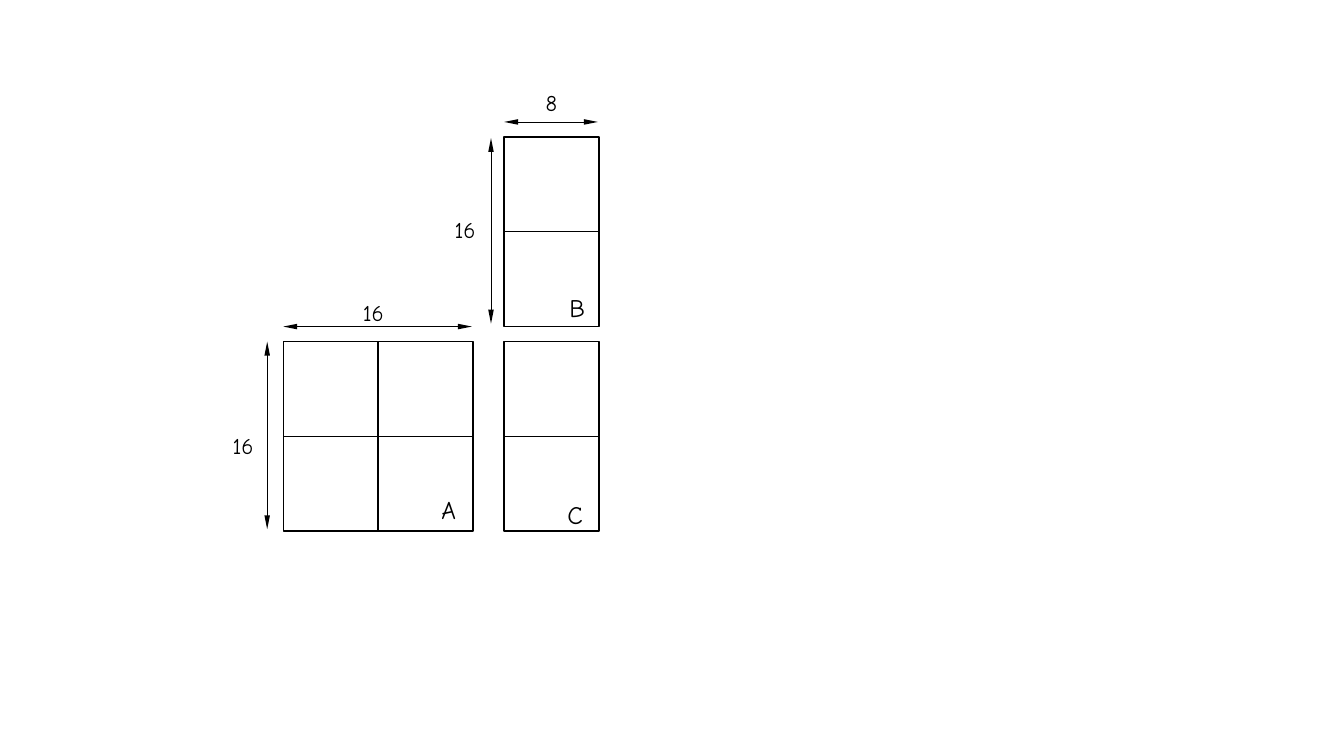
"""Build a slide of squares A, B and C with their dimensions."""
from lxml import etree
from pptx import Presentation
from pptx.dml.color import RGBColor
from pptx.enum import shapes, text
from pptx.oxml import ns
from pptx.util import Inches, Pt

BLACK = RGBColor(0, 0, 0)
FONT = "Comic Neue"
SIDE = 0.94


def add_text(container, content, left, top, width=0.6, height=0.37, size=16,
             align=text.PP_ALIGN.LEFT):
    box = container.add_textbox(Inches(left), Inches(top), Inches(width), Inches(height))
    frame = box.text_frame
    frame.word_wrap = True
    frame.auto_size = text.MSO_AUTO_SIZE.SHAPE_TO_FIT_TEXT
    paragraph = frame.paragraphs[0]
    paragraph.alignment = align
    run = paragraph.add_run()
    run.text = content
    run.font.name = FONT
    run.font.size = Pt(size)
    run.font.color.rgb = BLACK


def add_dimension(container, start_x, start_y, end_x, end_y):
    arrow = container.add_connector(
        shapes.MSO_CONNECTOR.STRAIGHT,
        Inches(start_x), Inches(start_y), Inches(end_x), Inches(end_y))
    arrow.line.color.rgb = BLACK
    arrow.line.width = Pt(0.5)
    line = arrow.line._get_or_add_ln()
    for end in ("a:headEnd", "a:tailEnd"):
        etree.SubElement(line, ns.qn(end), type="triangle", w="sm", len="lg")
    etree.SubElement(arrow._element.spPr, ns.qn("a:effectLst"))


presentation = Presentation()
presentation.slide_width = Inches(13.33)
presentation.slide_height = Inches(7.5)
slide = presentation.slides.add_slide(presentation.slide_layouts[6])
main = slide.shapes
group_b = main.add_group_shape().shapes

blocks = [(main, 2.81, 3.39, 2), (group_b, 5, 1.36, 1), (main, 5, 3.39, 1)]
for container, left, top, columns in blocks:
    for row in range(2):
        for column in range(columns):
            square = container.add_shape(
                shapes.MSO_SHAPE.RECTANGLE,
                Inches(left + column * SIDE), Inches(top + row * SIDE),
                Inches(SIDE), Inches(SIDE))
            square.shadow.inherit = False
            square.fill.background()
            square.line.color.rgb = BLACK
            square.line.width = Pt(1)

add_dimension(main, 2.65, 3.39, 2.65, 5.25)
add_text(main, "16", 2.21, 4.24)
add_dimension(main, 4.68, 3.24, 2.81, 3.24)
add_text(main, "16", 3.5, 2.92)
add_dimension(group_b, 4.87, 1.37, 4.87, 3.21)
add_text(group_b, "16", 4.41, 2.1, width=0.47)
add_dimension(group_b, 5.93, 1.21, 5, 1.21)
add_text(group_b, "8", 5.17, 0.84, align=text.PP_ALIGN.CENTER)

for name, left, top in [("A", 4.28, 4.86), ("B", 5.55, 2.85), ("C", 5.53, 4.9)]:
    add_text(main, name, left, top, height=0.4, size=18)

presentation.save("out.pptx")
